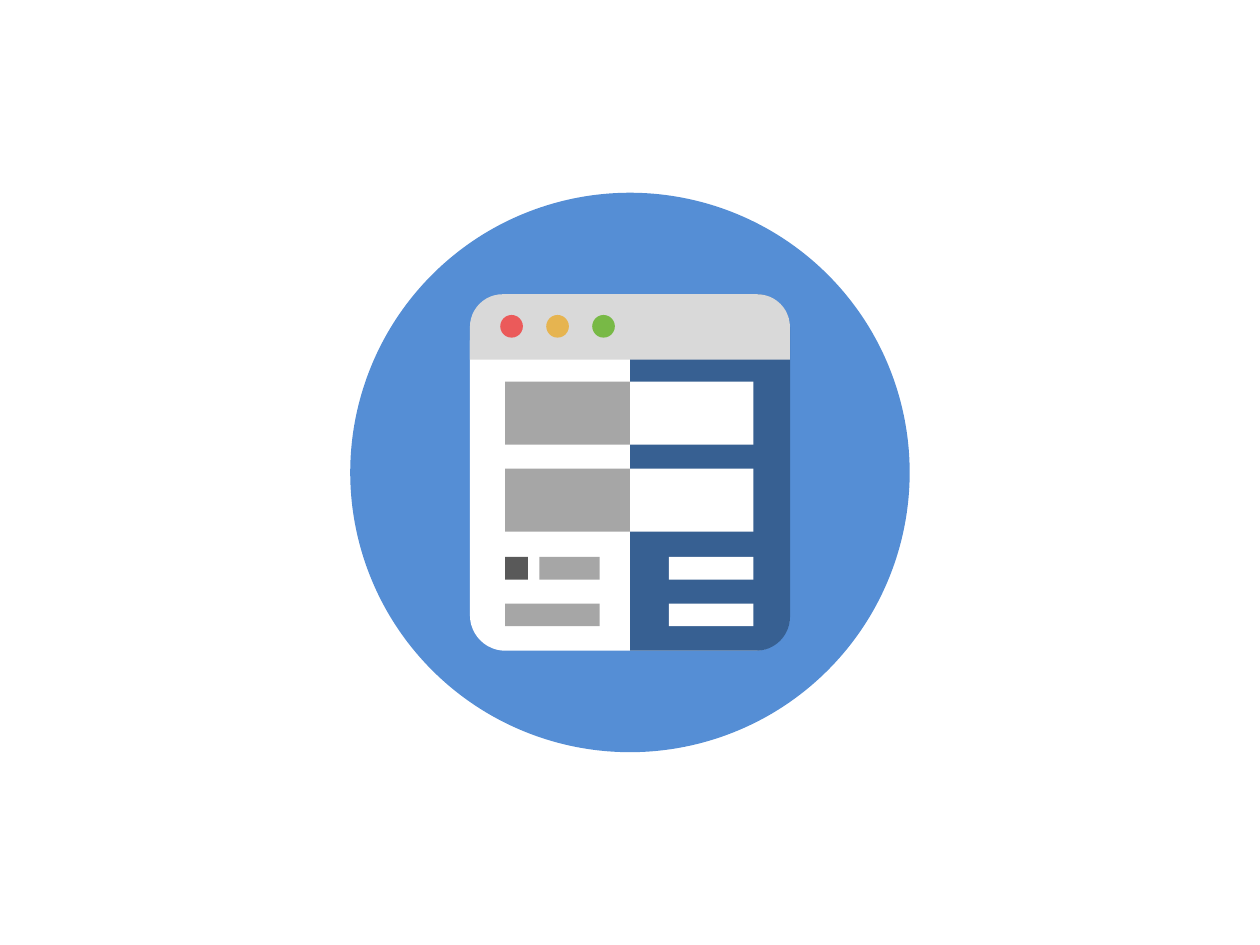
from pptx import Presentation
from pptx.dml.color import RGBColor
from pptx.enum.shapes import MSO_SHAPE
from pptx.util import Inches

WHITE = RGBColor(0xFF, 0xFF, 0xFF)
BLUE = RGBColor(0x55, 0x8E, 0xD5)
NAVY = RGBColor(0x37, 0x60, 0x92)
LIGHT_GRAY = RGBColor(0xD9, 0xD9, 0xD9)
GRAY = RGBColor(0xA6, 0xA6, 0xA6)
DARK_GRAY = RGBColor(0x59, 0x59, 0x59)
RED = RGBColor(0xEB, 0x5A, 0x5A)
AMBER = RGBColor(0xE6, 0xB4, 0x50)
GREEN = RGBColor(0x78, 0xB9, 0x46)

SLIDE_WIDTH, SLIDE_HEIGHT = 10, 7.5
CENTER_X, CENTER_Y = SLIDE_WIDTH / 2, SLIDE_HEIGHT / 2
DISC_SIZE = 4.44
WINDOW_WIDTH, WINDOW_HEIGHT = 2.54, 2.83
HALF_WIDTH = WINDOW_WIDTH / 2
WINDOW_LEFT = CENTER_X - HALF_WIDTH
WINDOW_TOP = CENTER_Y - WINDOW_HEIGHT / 2
TITLE_BAR_HEIGHT = 0.52

BUTTON_COLORS = [RED, AMBER, GREEN]
BUTTON_LEFT, BUTTON_TOP, BUTTON_SIZE, BUTTON_STEP = 3.97, 2.5, 0.18, 0.365

# Each row: top, height, and its blocks as (left, width, color)
WIDE_ROW = [(5, 0.98, WHITE), (4.01, 0.99, GRAY)]
CONTENT_ROWS = [
    (3.03, 0.5, WIDE_ROW),
    (3.72, 0.5, WIDE_ROW),
    (4.42, 0.18, [(5.31, 0.67, WHITE), (4.01, 0.18, DARK_GRAY), (4.28, 0.48, GRAY)]),
    (4.79, 0.18, [(5.31, 0.67, WHITE), (4.01, 0.75, GRAY)]),
]


def add_part(group, kind, left, top, width, height, color, adjustments=()):
    """Add a flat, borderless shape to the icon group."""
    shape = group.shapes.add_shape(
        kind, Inches(left), Inches(top), Inches(width), Inches(height))
    shape.shadow.inherit = False
    shape.fill.solid()
    shape.fill.fore_color.rgb = color
    shape.line.fill.background()
    for index, value in enumerate(adjustments):
        shape.adjustments[index] = value
    return shape


def add_window(group):
    """Add the two-tone window with its title bar and buttons."""
    rounded = MSO_SHAPE.ROUND_2_SAME_RECTANGLE
    add_part(group, rounded, WINDOW_LEFT, WINDOW_TOP,
             WINDOW_WIDTH, WINDOW_HEIGHT, WHITE, (0.152, 0.111))
    # The right half lies on its side, so its rounded top faces right
    right_half = add_part(
        group, rounded, CENTER_X + (HALF_WIDTH - WINDOW_HEIGHT) / 2,
        CENTER_Y - HALF_WIDTH / 2, WINDOW_HEIGHT, HALF_WIDTH, NAVY, (0.212, 0))
    right_half.rotation = 90
    add_part(group, rounded, WINDOW_LEFT, WINDOW_TOP,
             WINDOW_WIDTH, TITLE_BAR_HEIGHT, LIGHT_GRAY, (0.5, 0))
    for index, color in enumerate(BUTTON_COLORS):
        add_part(group, MSO_SHAPE.OVAL, BUTTON_LEFT + index * BUTTON_STEP,
                 BUTTON_TOP, BUTTON_SIZE, BUTTON_SIZE, color)


def add_content(group):
    """Add the rows of blocks inside the window."""
    for top, height, blocks in CONTENT_ROWS:
        for left, width, color in blocks:
            add_part(group, MSO_SHAPE.RECTANGLE, left, top, width, height, color)


presentation = Presentation()
presentation.slide_width = Inches(SLIDE_WIDTH)
presentation.slide_height = Inches(SLIDE_HEIGHT)
slide = presentation.slides.add_slide(presentation.slide_layouts[6])

icon = slide.shapes.add_group_shape()
add_part(icon, MSO_SHAPE.OVAL, CENTER_X - DISC_SIZE / 2, CENTER_Y - DISC_SIZE / 2,
         DISC_SIZE, DISC_SIZE, BLUE)
add_window(icon)
add_content(icon)

presentation.save("out.pptx")
